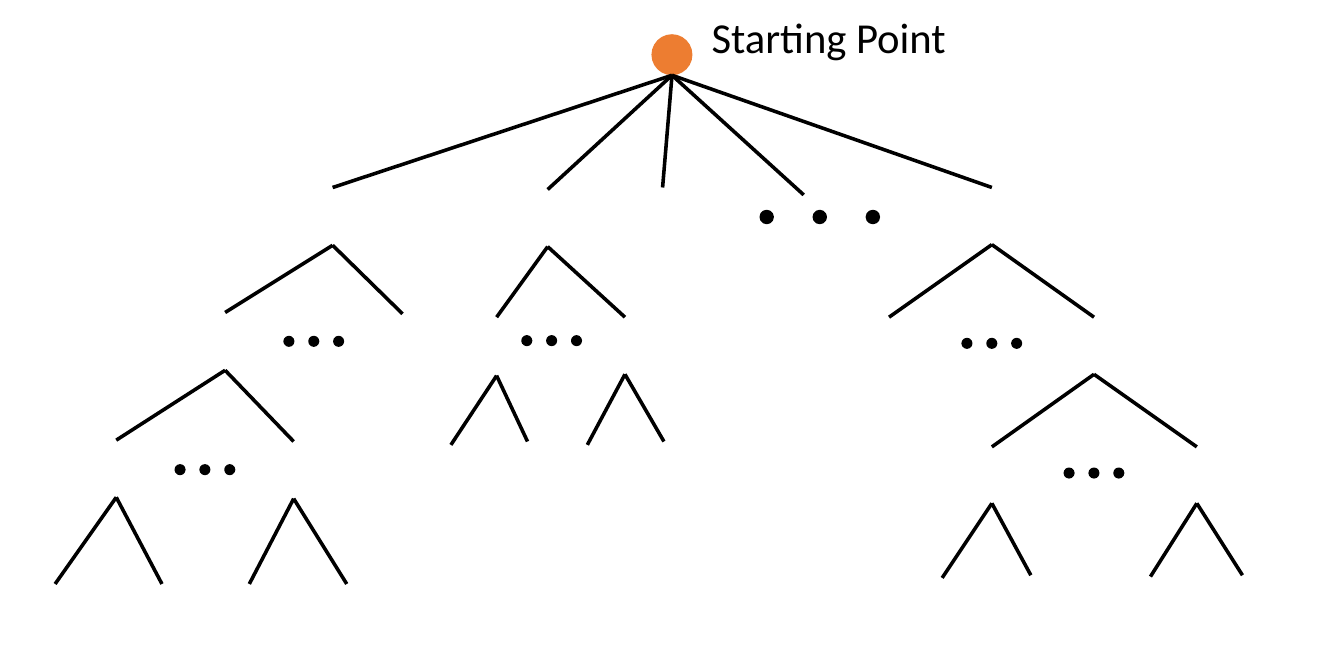
"""Draws a search tree that spreads out from one starting point."""
from typing import NamedTuple

from lxml.etree import SubElement
from pptx import Presentation
from pptx.dml.color import RGBColor
from pptx.enum.shapes import MSO_CONNECTOR, MSO_SHAPE
from pptx.enum.text import MSO_AUTO_SIZE
from pptx.oxml.ns import qn
from pptx.shapes.autoshape import Shape
from pptx.slide import Slide
from pptx.util import Cm, Pt

COLOURS = {"root": "ED7D31", "ink": "000000"}
ROOT_DIAMETER = 0.61


class Point(NamedTuple):
    """A place on the slide in centimetres."""
    x: float
    y: float


class Fork(NamedTuple):
    """A tree node and the ends of its branches."""
    node: Point
    ends: tuple[Point, ...]


class Ellipsis(NamedTuple):
    """Three dots that stand for omitted branches."""
    middle: Point
    spacing: float = 0.37
    diameter: float = 0.13


ROOT = Point(10, 1.12)

FORKS = [
    Fork(ROOT, (Point(4.95, 2.79), Point(8.15, 2.82), Point(9.86, 2.79),
                Point(11.96, 2.9), Point(14.76, 2.79))),
    Fork(Point(4.95, 3.65), (Point(3.35, 4.65), Point(5.99, 4.67))),
    Fork(Point(8.15, 3.67), (Point(7.39, 4.72), Point(9.3, 4.72))),
    Fork(Point(14.76, 3.64), (Point(13.23, 4.72), Point(16.28, 4.72))),
    Fork(Point(3.35, 5.51), (Point(1.73, 6.55), Point(4.37, 6.57))),
    Fork(Point(7.39, 5.59), (Point(6.71, 6.62), Point(7.85, 6.57))),
    Fork(Point(9.3, 5.57), (Point(8.74, 6.62), Point(9.88, 6.57))),
    Fork(Point(16.28, 5.57), (Point(14.76, 6.65), Point(17.81, 6.65))),
    Fork(Point(1.73, 7.4), (Point(0.82, 8.69), Point(2.41, 8.69))),
    Fork(Point(4.37, 7.42), (Point(3.71, 8.69), Point(5.16, 8.69))),
    Fork(Point(14.76, 7.49), (Point(14.02, 8.6), Point(15.34, 8.56))),
    Fork(Point(17.81, 7.49), (Point(17.12, 8.58), Point(18.49, 8.56))),
]

ELLIPSES = [
    Ellipsis(Point(12.2, 3.23), spacing=0.79, diameter=0.18),
    Ellipsis(Point(4.67, 5.08)),
    Ellipsis(Point(8.21, 5.07)),
    Ellipsis(Point(14.76, 5.11)),
    Ellipsis(Point(3.05, 6.99)),
    Ellipsis(Point(16.28, 7.04)),
]


def rgb(part: str) -> RGBColor:
    """Look up the colour of a part."""
    return RGBColor.from_string(COLOURS[part])


def add_circle(slide: Slide, centre: Point, diameter: float, part: str) -> Shape:
    """Draw a filled circle without outline."""
    circle = slide.shapes.add_shape(
        MSO_SHAPE.OVAL, Cm(centre.x - diameter / 2), Cm(centre.y - diameter / 2),
        Cm(diameter), Cm(diameter))
    circle.shadow.inherit = False
    circle.fill.solid()
    circle.fill.fore_color.rgb = rgb(part)
    circle.line.fill.background()
    return circle


def add_fork(slide: Slide, fork: Fork) -> None:
    """Draw a line from the node to each branch end."""
    for end in fork.ends:
        branch = slide.shapes.add_connector(
            MSO_CONNECTOR.STRAIGHT, Cm(fork.node.x), Cm(fork.node.y),
            Cm(end.x), Cm(end.y))
        branch.line.color.rgb = rgb("ink")
        branch.line.width = Pt(1.5)
        SubElement(branch.element.spPr, qn("a:effectLst"))


def add_ellipsis(slide: Slide, ellipsis: Ellipsis) -> None:
    """Draw three evenly spaced dots."""
    for step in (-1, 0, 1):
        centre = Point(ellipsis.middle.x + step * ellipsis.spacing, ellipsis.middle.y)
        dot = add_circle(slide, centre, ellipsis.diameter, "ink")
        dot.line.color.rgb = rgb("ink")
        dot.line.width = Pt(1)


def add_root_label(slide: Slide) -> None:
    """Write the label beside the root."""
    label = slide.shapes.add_textbox(Cm(10.34), Cm(0.03), Cm(4.04), Cm(1.02)).text_frame
    label.word_wrap = False
    label.auto_size = MSO_AUTO_SIZE.SHAPE_TO_FIT_TEXT
    caption = label.paragraphs[0]
    caption.text = "Starting Point"
    caption.font.name = "Calibri"
    caption.font.size = Pt(18)
    caption.font.color.rgb = rgb("ink")


def main() -> None:
    """Build and save the slide."""
    deck = Presentation()
    deck.slide_width, deck.slide_height = Cm(20), Cm(10)
    slide = deck.slides.add_slide(deck.slide_layouts.get_by_name("Blank"))
    add_circle(slide, Point(ROOT.x, ROOT.y - ROOT_DIAMETER / 2), ROOT_DIAMETER, "root")
    for fork in FORKS:
        add_fork(slide, fork)
    for ellipsis in ELLIPSES:
        add_ellipsis(slide, ellipsis)
    add_root_label(slide)
    deck.save("out.pptx")


if __name__ == "__main__":
    main()
